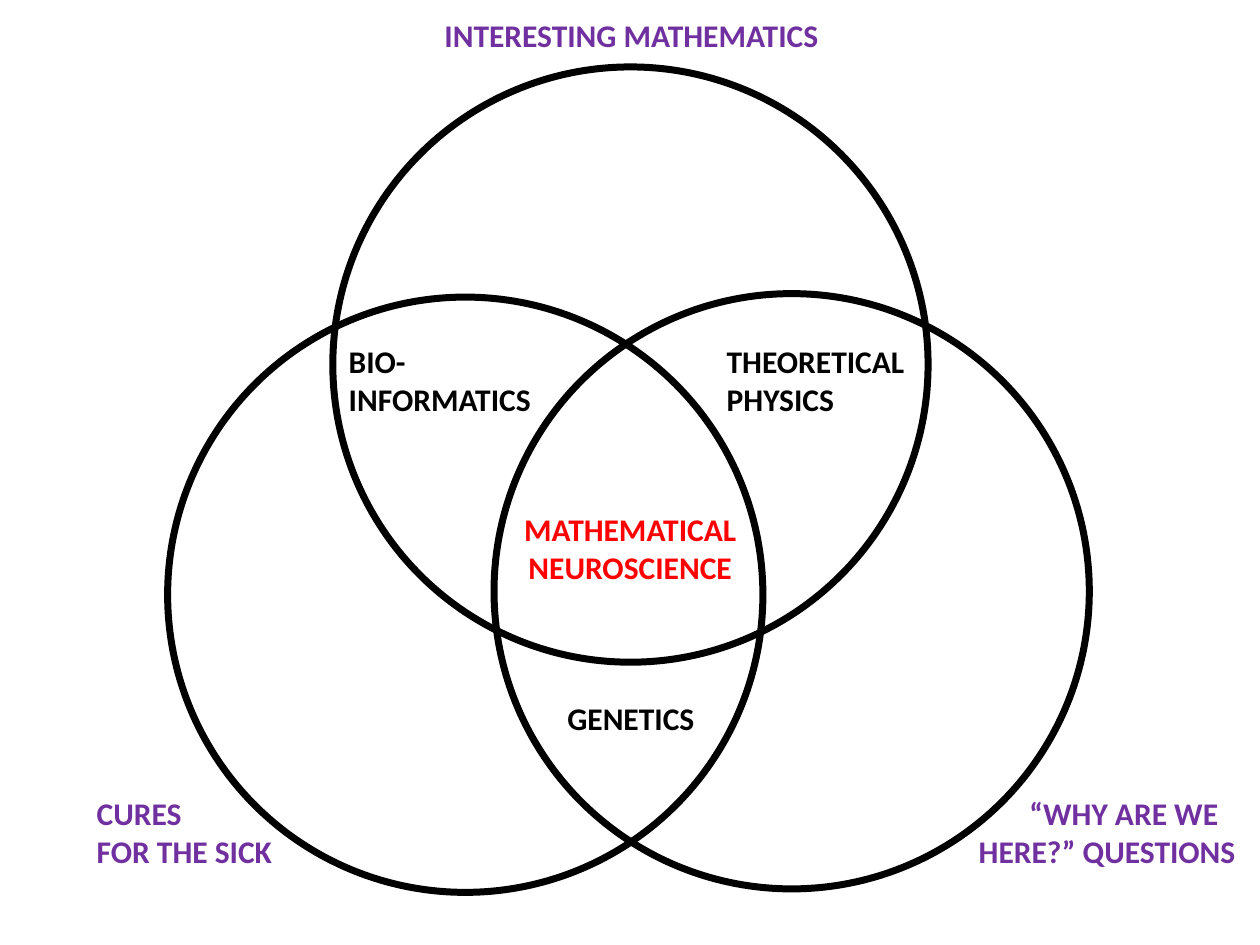
from dataclasses import dataclass

from pptx import Presentation
from pptx.dml.color import RGBColor
from pptx.enum import shapes, text
from pptx.util import Cm, Pt


@dataclass(frozen=True)
class Theme:
    ink: RGBColor = RGBColor(0, 0, 0)
    goal: RGBColor = RGBColor(0x70, 0x30, 0xA0)
    core: RGBColor = RGBColor(0xFF, 0, 0)
    font: str = "Calibri"
    size: int = 18
    line: int = 4


THEME = Theme()
LEFT, MID = text.PP_ALIGN.LEFT, text.PP_ALIGN.CENTER

SIZE = 12
RINGS = [(6.71, 1.35), (9.96, 5.92), (3.38, 5.99)]

# lines, (left, top, width, height), colour, alignment, wrap, first-line indent
LABELS = [
    (["MATHEMATICAL", "NEUROSCIENCE"], (10.29, 10.16, 4.83, 1.8), THEME.core, MID, False, 0),
    (["INTERESTING MATHEMATICS"], (8.71, 0.2, 8.13, 1.02), THEME.goal, LEFT, False, 0),
    (["“WHY ARE WE", "HERE?” QUESTIONS"], (19.48, 15.88, 5.74, 1.8), THEME.goal, LEFT, False, 1.02),
    (["CURES", "FOR THE SICK"], (1.7, 15.88, 4.09, 1.8), THEME.goal, LEFT, False, 0),
    (["THEORETICAL", "PHYSICS"], (14.4, 6.78, 4.11, 1.8), THEME.ink, LEFT, False, 0),
    (["BIO-", "INFORMATICS"], (6.78, 6.78, 5.51, 1.8), THEME.ink, LEFT, True, 0),
    (["GENETICS"], (11.13, 13.97, 3.18, 1.07), THEME.ink, MID, True, 0),
]


def style(item, form):
    for name, value in form.items():
        setattr(item, name, value)


def add_ring(slide, x, y):
    ring = slide.shapes.add_shape(
        shapes.MSO_SHAPE.OVAL, Cm(x), Cm(y), Cm(SIZE), Cm(SIZE))
    ring.shadow.inherit = False
    ring.fill.background()
    ring.line.color.rgb = THEME.ink
    ring.line.width = Pt(THEME.line)


def add_label(slide, lines, box, color, align, wrap, indent):
    frame = slide.shapes.add_textbox(*map(Cm, box)).text_frame
    style(frame, {"word_wrap": wrap,
                  "auto_size": text.MSO_AUTO_SIZE.SHAPE_TO_FIT_TEXT})
    frame.text = "\n".join(lines)
    for para in frame.paragraphs:
        para.alignment = align
        style(para.font, {"name": THEME.font, "size": Pt(THEME.size), "bold": True})
        para.font.color.rgb = color
    if indent:
        frame.paragraphs[0]._p.get_or_add_pPr().set("indent", str(Cm(indent)))


def add_venn(slide, x, y):
    """Place the rings and their labels from the corner (x, y)."""
    for left, top in RINGS:
        add_ring(slide, x + left, y + top)
    for lines, (left, top, wide, high), *form in LABELS:
        add_label(slide, lines, (x + left, y + top, wide, high), *form)


def main():
    deck = Presentation()
    style(deck, {"slide_width": Cm(25.4), "slide_height": Cm(19.05)})
    add_venn(deck.slides.add_slide(deck.slide_layouts[6]), 0, 0)
    deck.save("out.pptx")


if __name__ == "__main__":
    main()
